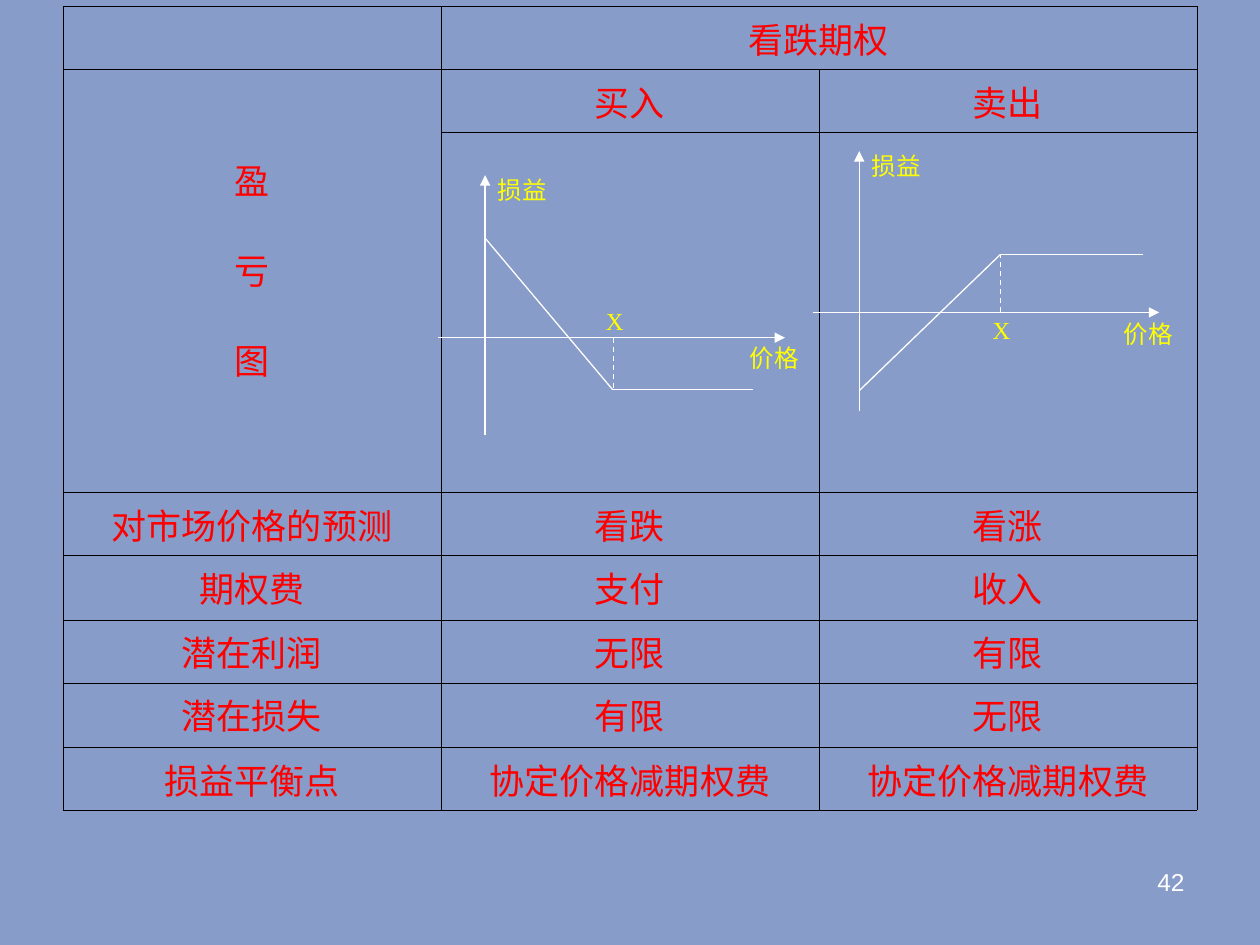
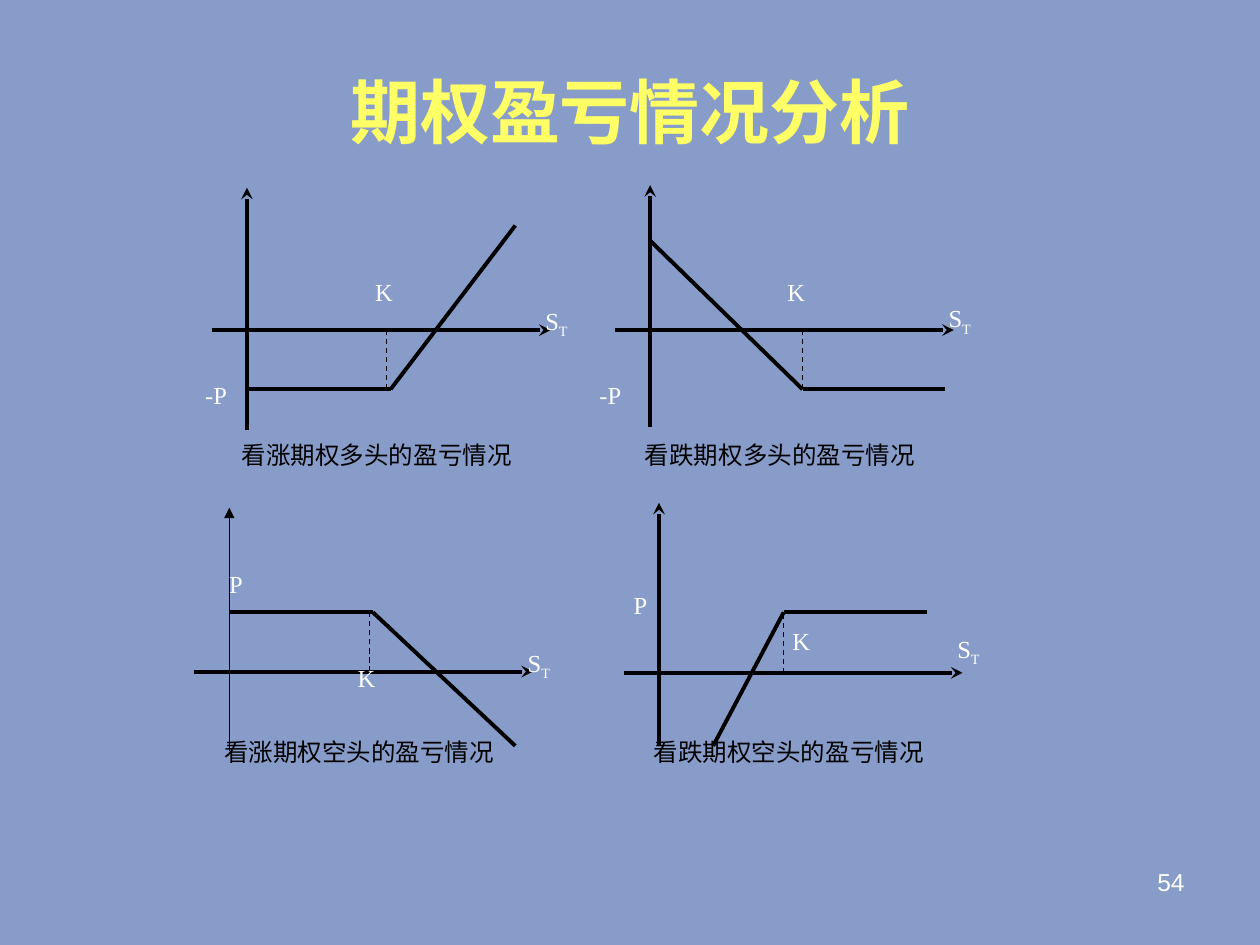
from dataclasses import dataclass

from lxml import etree
from pptx import Presentation
from pptx import util as u
from pptx.dml.color import RGBColor
from pptx.enum import dml, shapes, text
from pptx.oxml.ns import qn

BACK = RGBColor(0x87, 0x9C, 0xC8)
WHITE = RGBColor(0xFF, 0xFF, 0xFF)
BLACK = RGBColor(0x00, 0x00, 0x00)
RED = RGBColor(0xFF, 0x00, 0x00)
YELLOW = RGBColor(0xFF, 0xFF, 0x00)
TITLE_YELLOW = RGBColor(0xFF, 0xFF, 0x66)
SANS, SERIF = "Arial", "Times New Roman"
COLS, ROWS = 10, 7.5
ALIGN = text.PP_ALIGN


@dataclass
class AxisStyle:
    colour: RGBColor
    width: float
    arrow: str
    x_span: tuple


THIN = AxisStyle(WHITE, 0.75, "triangle", (-0.37, 2.38))
BOLD = AxisStyle(BLACK, 2.25, "stealth", (-0.28, 2.41))


@dataclass
class Payoff:
    """A profit diagram; every place is measured from the origin of its axes."""
    origin: tuple
    y_span: tuple
    curve: list
    strike_x: float
    labels: list
    y_width: float = None
    y_arrow: str = None


class Deck:
    def __init__(self):
        self.prs = Presentation()
        self.prs.slide_width, self.prs.slide_height = u.Inches(10), u.Inches(7.5)
        self.s = self.layer = None

    def x(self, col):
        return round(self.prs.slide_width * col / COLS)

    def y(self, row):
        return round(self.prs.slide_height * row / ROWS)

    def slide(self, number):
        self.s = self.prs.slides.add_slide(self.prs.slide_layouts[6])
        self.s.background.fill.solid()
        self.s.background.fill.fore_color.rgb = BACK
        self.layer = self.s.shapes
        self.label(number, (7.17, 6.83, 2.33, 0.52), WHITE, font=SANS, align=ALIGN.RIGHT)

    def style(self, p, colour, size, font, align, bold=False):
        p.alignment = align
        for r in p.runs:
            r.font.size, r.font.name, r.font.bold = u.Pt(size), font, bold
            r.font.color.rgb = colour

    def label(self, words, box, colour, size=14, font=SERIF, align=ALIGN.JUSTIFY,
              bold=False, sub=""):
        left, top, width, height = box
        sp = self.layer.add_textbox(self.x(left), self.y(top), self.x(width), self.y(height))
        tf = sp.text_frame
        tf.word_wrap = True
        p = tf.paragraphs[0]
        p.text = words
        if sub:
            r = p.add_run()
            r.text = sub
            r._r.get_or_add_rPr().set("baseline", "-25000")
        self.style(p, colour, size, font, align, bold)
        return tf

    def title(self, words):
        tf = self.label(words, (0.33, 0.25, 9.34, 1.25), TITLE_YELLOW, 40, SANS,
                        ALIGN.CENTER, bold=True)
        tf.vertical_anchor = text.MSO_ANCHOR.MIDDLE

    def line(self, start, end, colour, width, arrow=None, dashed=False):
        sp = self.layer.add_connector(
            shapes.MSO_CONNECTOR.STRAIGHT, self.x(start[0]), self.y(start[1]),
            self.x(end[0]), self.y(end[1]))
        sp.line.color.rgb = colour
        sp.line.width = u.Pt(width)
        if dashed:
            sp.line.dash_style = dml.MSO_LINE.DASH
        if arrow:
            etree.SubElement(sp.line._get_or_add_ln(), qn("a:tailEnd"), type=arrow)
        etree.SubElement(sp._element.spPr, qn("a:effectLst"))

    def payoff(self, chart, look):
        """Draw axes, profit line, strike mark and labels as one group."""
        x0, y0 = chart.origin

        def at(dx, dy):
            return x0 + dx, y0 + dy

        self.layer = self.s.shapes.add_group_shape().shapes
        left, right = look.x_span
        top, bottom = chart.y_span
        self.line(at(left, 0), at(right, 0), look.colour, look.width, look.arrow)
        self.line(at(0, bottom), at(0, top), look.colour,
                  chart.y_width or look.width, chart.y_arrow or look.arrow)
        for start, end in zip(chart.curve, chart.curve[1:]):
            self.line(at(*start), at(*end), look.colour, look.width)
        bend = chart.curve[1][1]
        self.line(at(chart.strike_x, 0), at(chart.strike_x, bend), look.colour, 0.75,
                  dashed=True)
        for words, place, size, colour, sub in chart.labels:
            self.label(words, (*at(*place), *size), colour, sub=sub)
        self.layer = self.s.shapes

    def borders(self, cell):
        tc_pr = cell._tc.get_or_add_tcPr()
        for i, side in enumerate(("lnL", "lnR", "lnT", "lnB")):
            ln = etree.Element(qn(f"a:{side}"), w=str(u.Pt(0.45)))
            fill = etree.SubElement(ln, qn("a:solidFill"))
            etree.SubElement(fill, qn("a:srgbClr"), val=str(BLACK))
            tc_pr.insert(i, ln)

    def table(self, left, top, widths, heights, cells, merges):
        tbl = self.s.shapes.add_table(
            len(heights), len(widths), self.x(left), self.y(top),
            self.x(sum(widths)), self.y(sum(heights))).table
        tbl.first_row = tbl.horz_banding = False
        for col, width in zip(tbl.columns, widths):
            col.width = self.x(width)
        for row, height in zip(tbl.rows, heights):
            row.height = self.y(height)
        for i, words_in_row in enumerate(cells):
            for j, words in enumerate(words_in_row):
                cell = tbl.cell(i, j)
                cell.fill.background()
                self.borders(cell)
                cell.text = words
                for p in cell.text_frame.paragraphs:
                    self.style(p, RED, 20, SERIF, ALIGN.CENTER)
                    if not words:
                        p.font.size = u.Pt(20)
        for first, last in merges:
            tbl.cell(*first).merge(tbl.cell(*last))
        return tbl


def axis_label(words, dx, dy):
    return words, (dx, dy), (0.62, 0.43), YELLOW, ""


def mark(words, dx, dy):
    return words, (dx, dy), (0.43, 0.47), WHITE, ""


def price(dy):
    return "S", (2.27, dy), (0.57, 0.47), WHITE, "T"


def caption(words, dy):
    return words, (-0.14, dy), (2.84, 0.47), BLACK, ""


PUT_ROWS = [0.5, 0.5, 2.86, 0.5, 0.51, 0.5, 0.51, 0.5]
PUT_TABLE = [
    ("", "看跌期权", ""),
    ("盈\n亏\n图", "买入", "卖出"),
    ("", "", ""),
    ("对市场价格的预测", "看跌", "看涨"),
    ("期权费", "支付", "收入"),
    ("潜在利润", "无限", "有限"),
    ("潜在损失", "有限", "无限"),
    ("损益平衡点", "协定价格减期权费", "协定价格减期权费"),
]

PUT_CHARTS = [
    Payoff((3.85, 2.68), (-1.29, 0.77), [(0, -0.79), (1.01, 0.41), (2.13, 0.41)], 1.02,
           [axis_label("损益", 0, -1.34), axis_label("价格", 2, -0.01),
            axis_label("X", 0.86, -0.3)]),
    Payoff((6.82, 2.48), (-1.28, 0.78), [(0, 0.62), (1.12, -0.46), (2.25, -0.46)], 1.12,
           [axis_label("损益", 0, -1.33), axis_label("价格", 2, 0),
            axis_label("X", 0.96, -0.03)]),
]

POSITION_CHARTS = [
    Payoff((1.96, 2.62), (-1.13, 0.79), [(0, 0.47), (1.14, 0.47), (2.13, -0.83)], 1.11,
           [mark("-P", -0.43, 0.35), mark("K", 0.92, -0.47), price(-0.24),
            caption("看涨期权多头的盈亏情况", 0.82)]),
    Payoff((5.16, 2.62), (-1.15, 0.77), [(0, -0.71), (1.21, 0.47), (2.34, 0.47)], 1.21,
           [mark("-P", -0.5, 0.35), mark("K", 0.99, -0.47), price(-0.26),
            caption("看跌期权多头的盈亏情况", 0.82)]),
    Payoff((1.82, 5.33), (-1.3, 0.63), [(0, -0.47), (1.14, -0.47), (2.27, 0.59)], 1.11,
           [mark("P", -0.1, -0.86), mark("K", 0.92, -0.12), price(-0.24),
            caption("看涨期权空头的盈亏情况", 0.47)],
           y_width=0.25, y_arrow="triangle"),
    Payoff((5.23, 5.34), (-1.35, 0.58), [(0.43, 0.58), (0.99, -0.48), (2.13, -0.48)], 0.99,
           [mark("P", -0.3, -0.71), mark("K", 0.96, -0.42), price(-0.36),
            caption("看跌期权空头的盈亏情况", 0.46)]),
]


def put_option_slide(deck):
    deck.slide("42")
    tbl = deck.table(0.5, 0.05, [3] * 3, PUT_ROWS, PUT_TABLE,
                     [((0, 1), (0, 2)), ((1, 0), (2, 0))])
    heading = tbl.cell(1, 0)
    heading.margin_top = deck.y(0.67)
    for p in heading.text_frame.paragraphs[1:]:
        p.space_before = u.Pt(22.5)
    for chart in PUT_CHARTS:
        deck.payoff(chart, THIN)


def positions_slide(deck):
    deck.slide("54")
    deck.title("期权盈亏情况分析")
    for chart in POSITION_CHARTS:
        deck.payoff(chart, BOLD)


def main():
    deck = Deck()
    put_option_slide(deck)
    positions_slide(deck)
    deck.prs.save("out.pptx")


if __name__ == "__main__":
    main()
